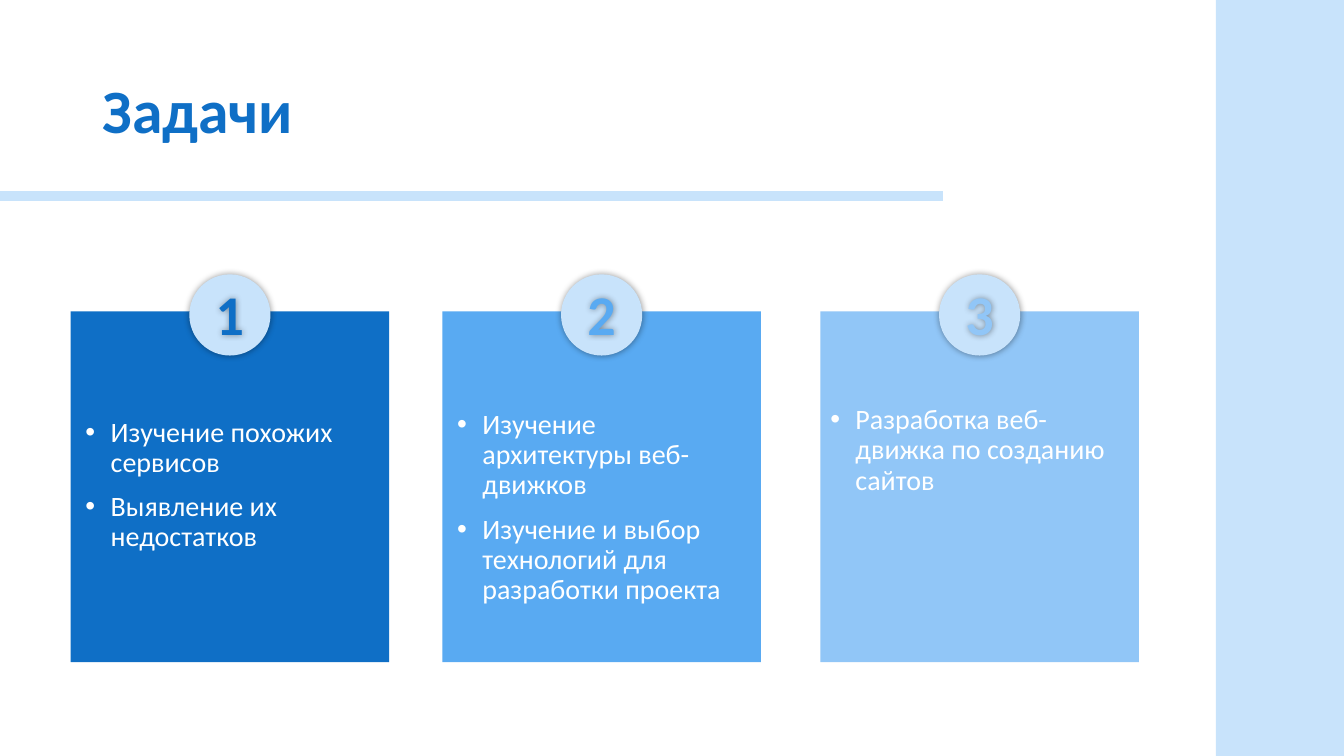
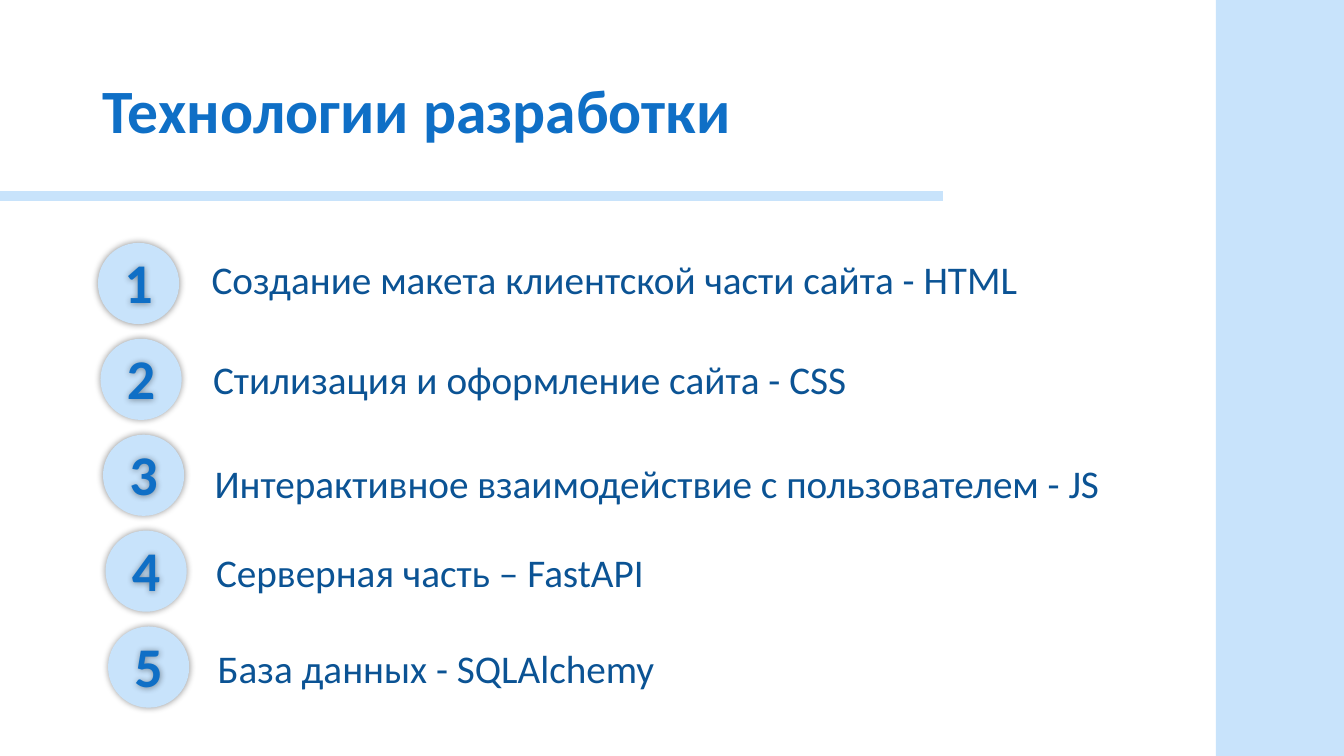
from lxml.etree import SubElement
from pptx import Presentation
from pptx.dml.color import RGBColor
from pptx.enum.shapes import MSO_SHAPE
from pptx.enum.text import MSO_ANCHOR, MSO_AUTO_SIZE, PP_ALIGN
from pptx.oxml.ns import qn
from pptx.util import Pt

BLUE = RGBColor(0x0F, 0x6F, 0xC6)
SKY = RGBColor(0x59, 0xAA, 0xF2)
LIGHT = RGBColor(0x91, 0xC6, 0xF7)
PALE = RGBColor(0xC8, 0xE3, 0xFB)
NAVY = RGBColor(0x0B, 0x53, 0x94)
WHITE = RGBColor(0xFF, 0xFF, 0xFF)

TITLE_FONT = {"name": "Calibri", "size": Pt(44), "bold": True}
NUMBER_FONT = {"name": "Calibri", "size": Pt(40), "bold": True}
BULLET_FONT = {"name": "Calibri", "size": Pt(20)}
STEP_FONT = {"name": "Calibri", "size": Pt(28)}
LEFT = {"alignment": PP_ALIGN.LEFT}
CENTER = {"alignment": PP_ALIGN.CENTER}
TITLE_PARAGRAPH = {**LEFT, "line_spacing": 0.9}
BULLET_PARAGRAPH = {**TITLE_PARAGRAPH, "space_before": Pt(10)}

BADGE = 58
PANEL_TOP, PANEL_WIDTH, PANEL_HEIGHT = 222.5, 227.5, 250.5
BULLET_WIDTH, BULLET_HEIGHT = 221, 168

# panel left, text left, text top, colour, tasks
TASKS = [
    (50.5, 54, 295, BLUE, ["Изучение похожих сервисов", "Выявление их недостатков"]),
    (316, 319.5, 289.5, SKY, ["Изучение архитектуры веб-движков",
                              "Изучение и выбор технологий для разработки проекта"]),
    (586, 586, 286, LIGHT, ["Разработка веб-движка по созданию сайтов"]),
]
# text top, text
STEPS = [
    (178.5, "Создание макета клиентской части сайта - HTML"),
    (250.5, "Стилизация и оформление сайта - CSS"),
    (324.5, "Интерактивное взаимодействие с пользователем - JS"),
    (388, "Серверная часть – FastAPI"),
    (456.5, "База данных - SQLAlchemy"),
]


def apply(target, formats):
    for name, value in formats.items():
        setattr(target, name, value)


def add_filled(slide, kind, box, color):
    shape = slide.shapes.add_shape(kind, *map(Pt, box))
    shape.shadow.inherit = False
    shape.fill.solid()
    shape.fill.fore_color.rgb = color
    shape.line.fill.background()
    return shape


def write(frame, lines, font, color, paragraph_format):
    """Fill a text frame with one formatted paragraph per line."""
    frame.text = "\n".join(lines)
    apply(frame, {"word_wrap": True, "auto_size": MSO_AUTO_SIZE.NONE})
    for paragraph in frame.paragraphs:
        apply(paragraph, paragraph_format)
        apply(paragraph.runs[0].font, font)
        paragraph.runs[0].font.color.rgb = color


def add_text(slide, box, lines, font, color, paragraph_format):
    label = slide.shapes.add_textbox(*map(Pt, box))
    write(label.text_frame, lines, font, color, paragraph_format)
    return label


def add_glow(shape):
    """Give a shape a soft black shadow without offset."""
    shape.shadow.inherit = False
    effects = shape.element.find(".//" + qn("a:effectLst"))
    shadow = SubElement(effects, qn("a:outerShdw"), blurRad=str(Pt(5)), dist="0", dir="0",
                        algn="ctr", rotWithShape="0")
    black = SubElement(shadow, qn("a:srgbClr"), val="000000")
    SubElement(black, qn("a:alpha"), val="40000")


def add_badge(slide, left, top, number, color):
    add_glow(add_filled(slide, MSO_SHAPE.OVAL, (left, top, BADGE, BADGE), PALE))
    add_glow(add_text(slide, (left, top, BADGE, 55.5), [str(number)],
                      NUMBER_FONT, color, CENTER))


def add_bullets(frame):
    for paragraph in frame.paragraphs:
        properties = paragraph.runs[0].font and paragraph._p.get_or_add_pPr()
        properties.set("marL", str(Pt(18)))
        properties.set("indent", str(Pt(-18)))
        SubElement(properties, qn("a:buFont"), typeface="Arial")
        SubElement(properties, qn("a:buChar"), char="•")


def add_slide(deck, heading):
    slide = deck.slides.add_slide(deck.slide_layouts[5])
    title = slide.shapes.title
    apply(title, {"left": Pt(66), "top": Pt(29), "width": Pt(828), "height": Pt(104.5)})
    write(title.text_frame, [heading], TITLE_FONT, BLUE, TITLE_PARAGRAPH)
    title.text_frame.vertical_anchor = MSO_ANCHOR.MIDDLE
    return slide


def move_bands_to_layout(slide):
    """Place the side band and title rule on the layout that all slides share."""
    for box in ((868.5, 0, 91.5, 540), (0, 136.5, 673.5, 7)):
        band = add_filled(slide, MSO_SHAPE.RECTANGLE, box, PALE)
        slide.slide_layout.shapes.element.insert(2, band.element)


def build_tasks(deck):
    slide = add_slide(deck, "Задачи")
    move_bands_to_layout(slide)
    for number, (left, text_left, text_top, color, tasks) in enumerate(TASKS, 1):
        add_filled(slide, MSO_SHAPE.RECTANGLE,
                   (left, PANEL_TOP, PANEL_WIDTH, PANEL_HEIGHT), color)
        bullets = add_text(slide, (text_left, text_top, BULLET_WIDTH, BULLET_HEIGHT),
                           tasks, BULLET_FONT, WHITE, BULLET_PARAGRAPH)
        add_bullets(bullets.text_frame)
        add_badge(slide, left + (PANEL_WIDTH - BADGE) / 2, 196, number, color)


def build_technologies(deck):
    slide = add_slide(deck, "Технологии разработки")
    for index, (text_top, step) in enumerate(STEPS):
        add_badge(slide, 70 + 1.8 * index, 173.5 + 68.5 * index, index + 1, BLUE)
        add_text(slide, (144 + 1.1 * index, text_top, 660, 41), [step],
                 STEP_FONT, NAVY, LEFT)


def main():
    deck = Presentation()
    apply(deck, {"slide_width": Pt(960), "slide_height": Pt(540)})
    build_tasks(deck)
    build_technologies(deck)
    deck.save("out.pptx")


if __name__ == "__main__":
    main()
